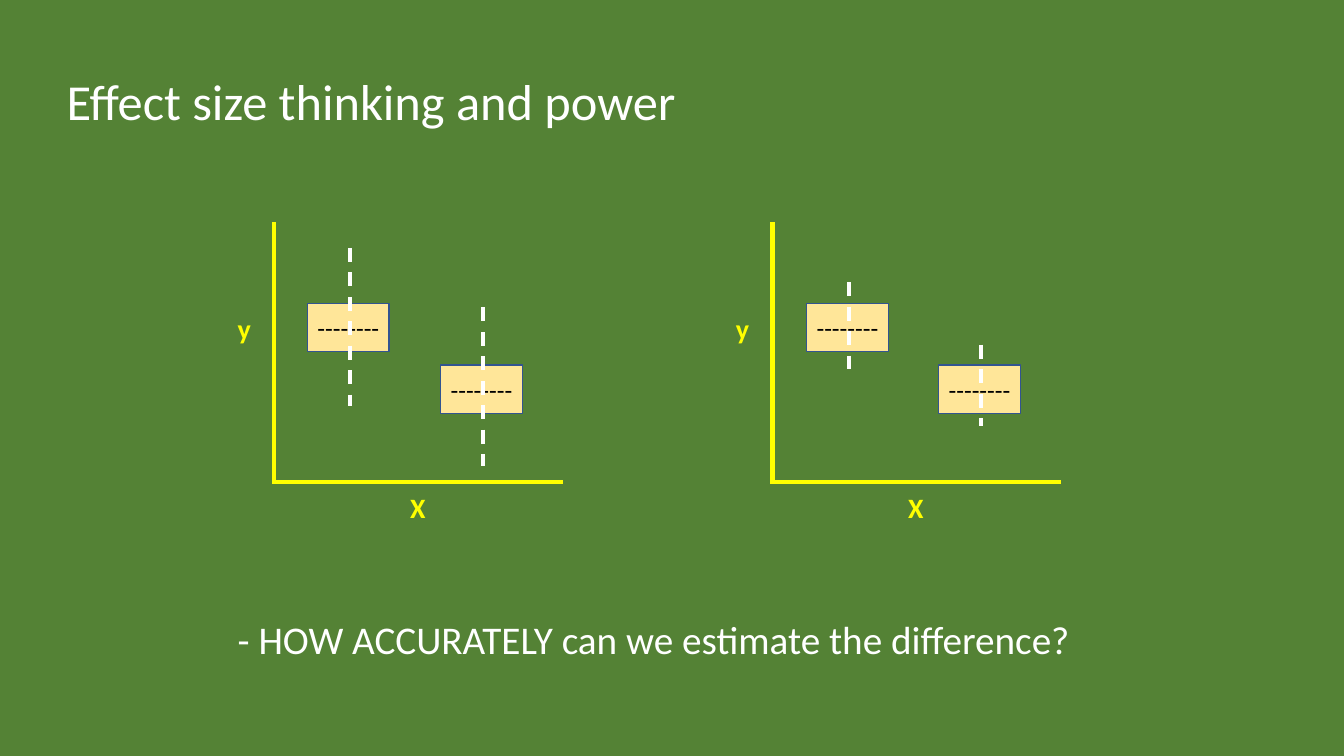
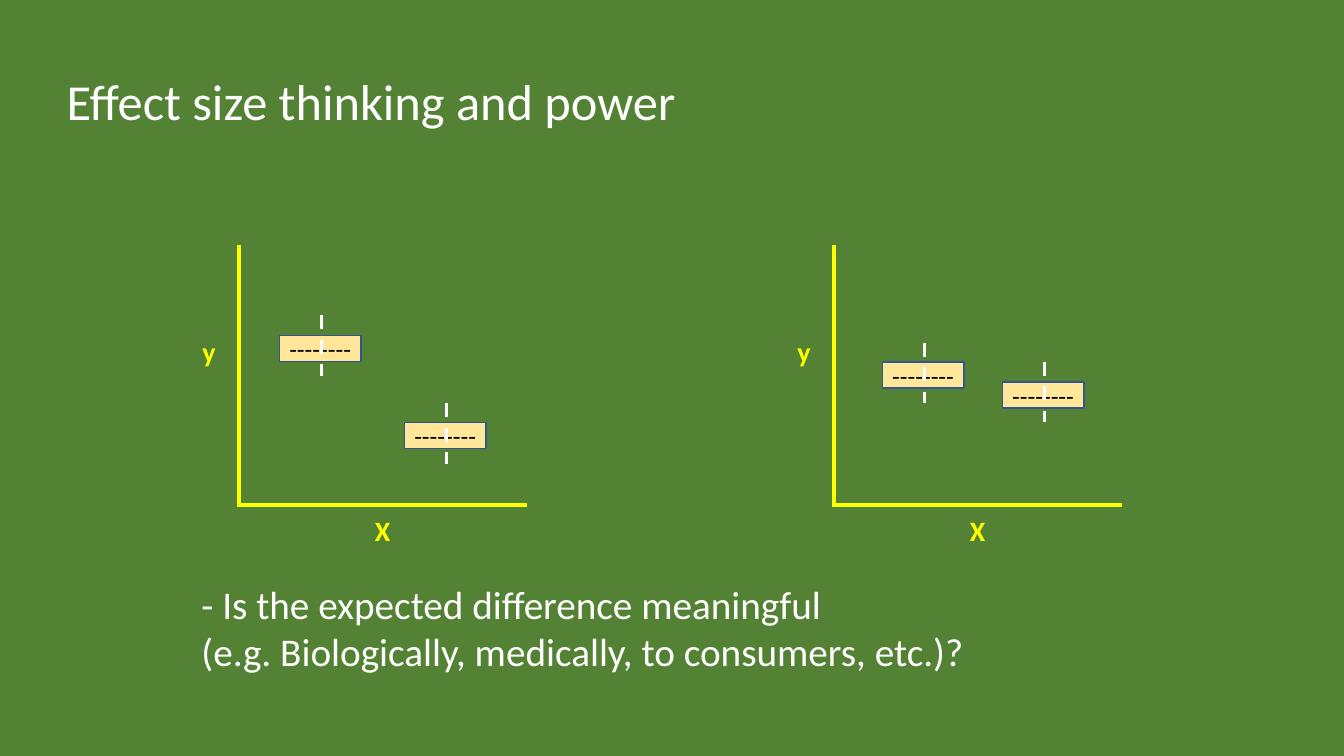
"""Build two slides that compare effect sizes with sketched box plots."""
from dataclasses import dataclass

from lxml import etree
from pptx import Presentation
from pptx.dml.color import RGBColor
from pptx.enum.dml import MSO_LINE
from pptx.enum.shapes import MSO_CONNECTOR, MSO_SHAPE
from pptx.enum.text import MSO_ANCHOR, MSO_AUTO_SIZE, PP_ALIGN
from pptx.oxml.ns import qn
from pptx.slide import Slide
from pptx.text.text import TextFrame
from pptx.util import Emu, Pt

SCALE = 9144
FONT = "Calibri"
TITLE = "Effect size thinking and power"
COLORS = {
    "back": "548235",
    "text": "FFFFFF",
    "axis": "FFFF00",
    "box": "FFE699",
    "edge": "325491",
    "median": "000000",
}
STRAIGHT = MSO_CONNECTOR.STRAIGHT
RECT = MSO_SHAPE.RECTANGLE
DASH = MSO_LINE.DASH
LEFT, CENTER = PP_ALIGN.LEFT, PP_ALIGN.CENTER
TOP, MIDDLE = MSO_ANCHOR.TOP, MSO_ANCHOR.MIDDLE
FIT, FIXED = MSO_AUTO_SIZE.SHAPE_TO_FIT_TEXT, MSO_AUTO_SIZE.NONE
TITLE_ONLY = 5


@dataclass(frozen=True)
class Box:
    """A box placed from its plot's corner, and its whisker's rise and span."""
    x: int
    y: int
    rise: int
    span: int


@dataclass(frozen=True)
class Plot:
    """A pair of axes, placed by the top of the y axis, and its boxes."""
    x: int
    y: int
    height: int
    boxes: tuple[Box, ...]


@dataclass(frozen=True)
class Note:
    """A caption with its place and size."""
    x: int
    y: int
    width: int
    height: int
    text: str


@dataclass(frozen=True)
class Page:
    """The plots and the caption of one slide."""
    plots: tuple[Plot, ...]
    note: Note


PAGES = (
    Page(
        (
            Plot(272, 220, 48, (Box(33, 81, 55, 157), Box(165, 142, 57, 157))),
            Plot(766, 220, 48, (Box(34, 81, 21, 86), Box(165, 142, 20, 81))),
        ),
        Note(226, 606, 864, 57,
             "- HOW ACCURATELY can we estimate the difference?"),
    ),
    Page(
        (
            Plot(237, 243, 26, (Box(40, 90, 20, 60), Box(164, 176, 19, 60))),
            Plot(827, 243, 26, (Box(48, 116, 19, 60), Box(167, 136, 20, 60))),
        ),
        Note(190, 571, 784, 104,
             "- Is the expected difference meaningful\n"
             "(e.g. Biologically, medically, to consumers, etc.)?"),
    ),
)


def px(size: int) -> Emu:
    """Turn px into EMU."""
    return Emu(size * SCALE)


def color(name: str) -> RGBColor:
    """Look up a colour by its role."""
    return RGBColor.from_string(COLORS[name])


def style(frame: TextFrame, text: str, size: int, tint: str,
          bold: bool = False, align: PP_ALIGN = LEFT) -> None:
    """Fill a text frame and format its runs."""
    frame.text = text
    for para in frame.paragraphs:
        para.alignment = align
        for run in para.runs:
            run.font.name = FONT
            run.font.size = Pt(size)
            run.font.bold = bold
            run.font.color.rgb = color(tint)


def add_text(slide: Slide, note: Note, size: int, tint: str,
             bold: bool = False) -> None:
    """Add a text box that does not wrap."""
    area = map(px, (note.x, note.y, note.width, note.height))
    frame = slide.shapes.add_textbox(*area).text_frame
    frame.word_wrap = False
    frame.auto_size = FIT
    style(frame, note.text, size, tint, bold)


def add_line(slide: Slide, start: tuple[int, int], end: tuple[int, int],
             tint: str, width: float, dashed: bool = False) -> None:
    """Add a straight line without a shadow."""
    line = slide.shapes.add_connector(STRAIGHT, *map(px, start + end))
    line.line.color.rgb = color(tint)
    line.line.width = Pt(width)
    if dashed:
        line.line.dash_style = DASH
    etree.SubElement(line._element.spPr, qn("a:effectLst"))


def add_box(slide: Slide, plot: Plot, box: Box) -> None:
    """Add a box with its median and whisker."""
    x, y = plot.x + box.x, plot.y + box.y
    shape = slide.shapes.add_shape(RECT, *map(px, (x, y, 81, plot.height)))
    shape.shadow.inherit = False
    shape.fill.solid()
    shape.fill.fore_color.rgb = color("box")
    shape.line.color.rgb = color("edge")
    shape.line.width = Pt(1)
    frame = shape.text_frame
    frame.word_wrap = False
    frame.vertical_anchor = MIDDLE
    style(frame, "--------", 18, "median", align=CENTER)
    mid, top = x + 42, y - box.rise
    add_line(slide, (mid, top), (mid, top + box.span), "text", 2.5, True)


def add_plot(slide: Slide, plot: Plot) -> None:
    """Add the axes, their labels and the boxes."""
    x, y = plot.x, plot.y
    base = y + 258
    add_line(slide, (x, y), (x, y + 260), "axis", 3.25)
    add_line(slide, (x + 286, base), (x, base), "axis", 3.25)
    add_text(slide, Note(x + 125, y + 262, 36, 44, "X"), 20, "axis", True)
    add_text(slide, Note(x - 46, y + 84, 34, 44, "y"), 20, "axis", True)
    for box in plot.boxes:
        add_box(slide, plot, box)


def add_title(slide: Slide) -> None:
    """Move and format the title."""
    title = slide.shapes.title
    title.left, title.top, title.width, title.height = map(
        px, (56, 65, 1071, 71))
    frame = title.text_frame
    frame.word_wrap = True
    frame.auto_size = FIXED
    frame.vertical_anchor = TOP
    style(frame, TITLE, 36, "text")


def main() -> None:
    """Build and save the slides."""
    deck = Presentation()
    deck.slide_width, deck.slide_height = px(1333), px(750)
    fill = deck.slide_master.background.fill
    fill.solid()
    fill.fore_color.rgb = color("back")
    for page in PAGES:
        slide = deck.slides.add_slide(deck.slide_layouts[TITLE_ONLY])
        add_title(slide)
        for plot in page.plots:
            add_plot(slide, plot)
        add_text(slide, page.note, 28, "text")
    deck.save("out.pptx")


if __name__ == "__main__":
    main()
